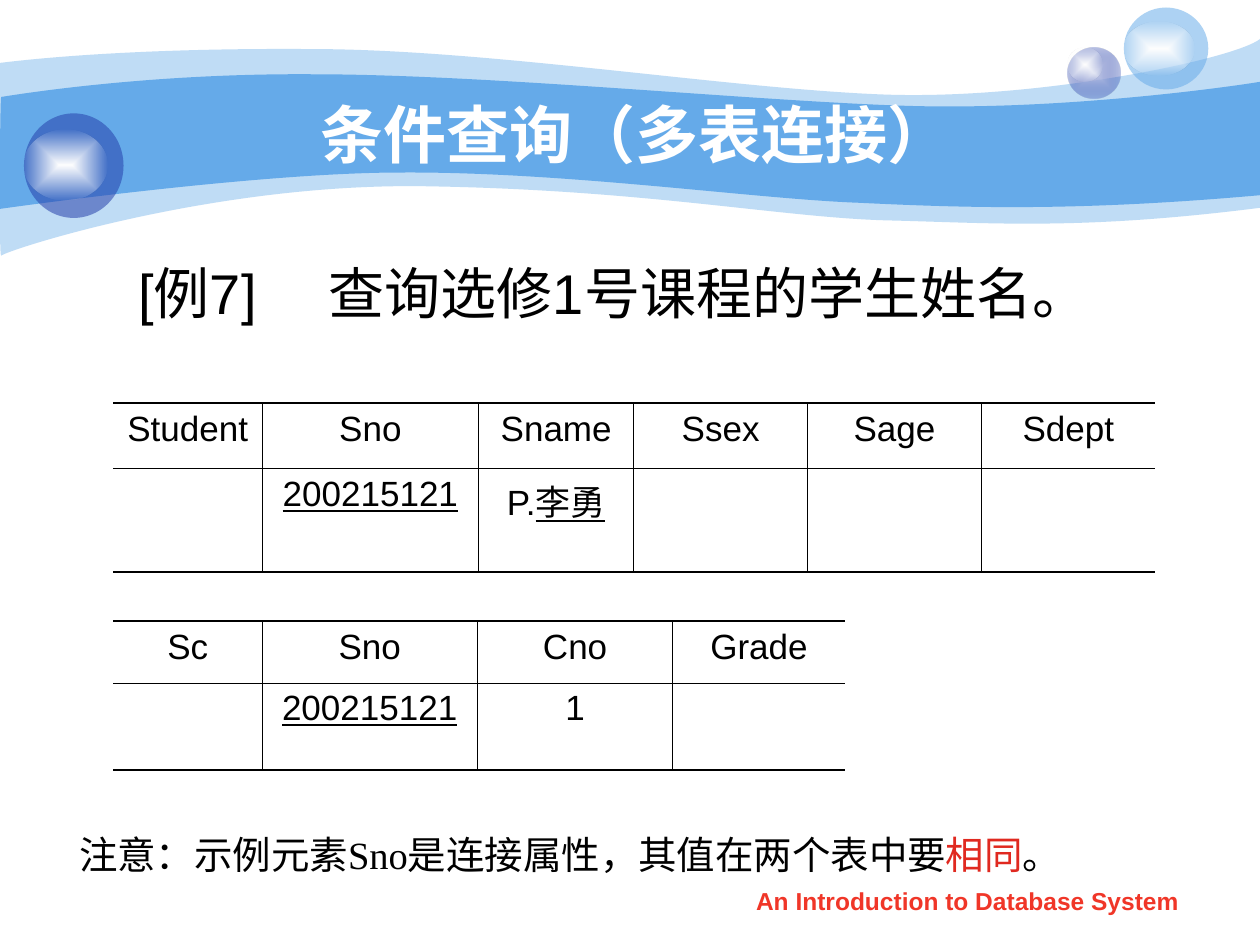
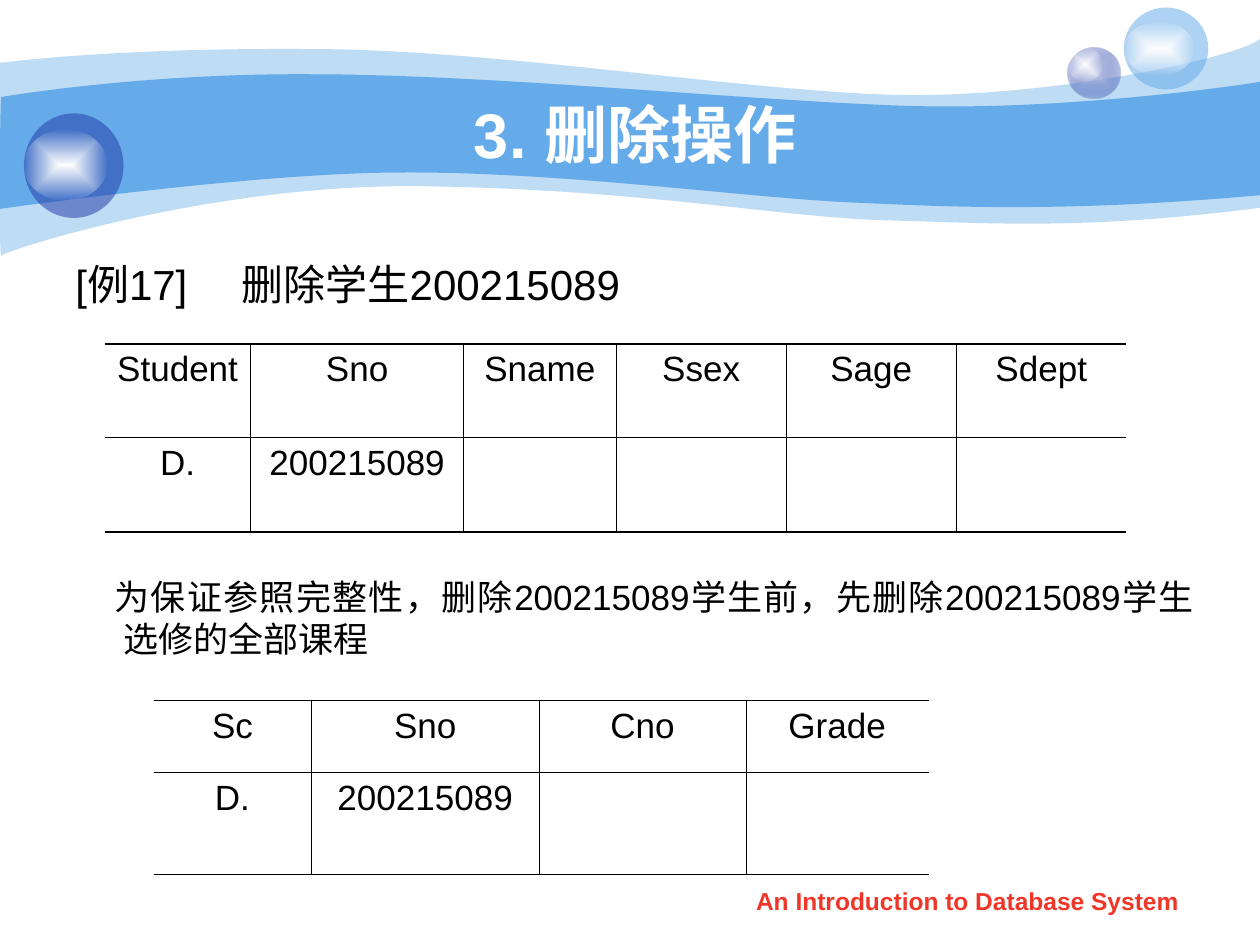
"""Build two database slides: a multi-table condition query and a delete operation."""
from dataclasses import dataclass

from lxml.etree import SubElement
from pptx import Presentation
from pptx.dml.color import RGBColor
from pptx.enum.shapes import MSO_SHAPE
from pptx.enum.text import MSO_ANCHOR, MSO_AUTO_SIZE, PP_ALIGN
from pptx.oxml import parse_xml
from pptx.oxml.ns import nsdecls, qn
from pptx.util import Inches, Pt


@dataclass(frozen=True)
class Theme:
    sky: str = "65AAE9"
    navy: str = "233DA9"
    lilac: str = "C7CEE9"
    white: str = "FFFFFF"
    ink: str = "000000"
    accent: str = "E02920"
    footer: str = "F03628"
    sans: str = "Arial"
    serif: str = "Times New Roman"
    title_size: int = 36
    lead_size: int = 32
    example_size: int = 24
    note_size: int = 22
    body_size: int = 20
    footer_size: int = 14
    thick: float = 1.08
    thin: float = 0.45


theme = Theme()


def add_span(para, text, size, color=theme.ink, face=theme.sans, bold=False, underline=False):
    span = para.add_run()
    span.text = text
    span.font.name = face
    span.font.size = Pt(size)
    span.font.bold = bold
    span.font.underline = underline
    span.font.color.rgb = RGBColor.from_string(color)


def paint(shape, stops):
    colors = [
        f'<a:srgbClr val="{color}"><a:alpha val="{alpha * 1000}"/></a:srgbClr>'
        for color, alpha in stops
    ]
    if len(colors) == 1:
        xml = f'<a:solidFill {nsdecls("a")}>{colors[0]}</a:solidFill>'
    else:
        xml = (
            f'<a:gradFill {nsdecls("a")} rotWithShape="1"><a:gsLst>'
            f'<a:gs pos="0">{colors[0]}</a:gs><a:gs pos="100000">{colors[1]}</a:gs></a:gsLst>'
            '<a:path path="rect"><a:fillToRect l="50000" t="50000" r="50000" b="50000"/></a:path>'
            '</a:gradFill>'
        )
    shape.shadow.inherit = False
    shape.line.fill.background()
    shape.fill.background()
    properties = shape._element.spPr
    properties.replace(properties.find(qn("a:noFill")), parse_xml(xml))


waves = [
    ([(theme.sky, 41)], (0, 0.5), [
        (0.24, 0.47, 1.07, 0.38, 2.47, 0.39),
        (3.86, 0.39, 5.75, 0.7, 6.99, 0.75),
        (8.22, 0.8, 9.8, 0.47, 10, 0.31),
        (10, 1.65),
        (8.58, 1.83, 7.87, 1.77, 7.05, 1.75),
        (6.22, 1.73, 5.15, 1.51, 3.43, 1.48),
        (1.72, 1.44, 0.04, 1.99, 0.01, 2.03),
        (-0.01, 2.08, 0, 0.75, 0, 0.5),
    ]),
    ([(theme.sky, 100)], (0.01, 0.77), [
        (0.02, 0.77, 1.1, 0.58, 2.48, 0.59),
        (3.86, 0.59, 5.95, 0.8, 7.18, 0.84),
        (8.41, 0.88, 9.76, 0.69, 10, 0.65),
        (10, 1.55),
        (8.53, 1.68, 7.65, 1.65, 6.82, 1.61),
        (5.99, 1.58, 4.47, 1.36, 3.17, 1.37),
        (2.03, 1.37, -0.02, 1.66, -0.01, 1.66),
        (0, 1.66, 0, 0.77, 0.01, 0.77),
    ]),
]
glow = [(theme.white, 100), (theme.white, 0)]
bubbles = [
    ((8.47, 0.38, 0.42, 0.4), [(theme.lilac, 100), (theme.navy, 31)]),
    ((8.47, 0.38, 0.28, 0.27), glow),
    ((8.92, 0.06, 0.67, 0.65), [(theme.sky, 53)]),
    ((8.92, 0.17, 0.56, 0.43), glow),
    ((0.19, 0.9, 0.79, 0.83), [(theme.navy, 53)]),
    ((0.19, 1.03, 0.66, 0.56), glow),
]

student_head = ["Student", "Sno", "Sname", "Ssex", "Sage", "Sdept"]
course_head = ["Sc", "Sno", "Cno", "Grade"]
linked = {"underline": True}
serif = {"face": theme.serif}
pages = [
    {
        "title": "条件查询（多表连接）",
        "texts": [
            {"at": (1, 2, 8.17, 0.8), "size": theme.lead_size, "tab": 1.51,
             "spans": [("[例7]\t查询选修1号课程的学生姓名。", {})]},
            {"at": (0.53, 6.47, 8.6, 0.54), "size": theme.note_size, "spacing": 1.2,
             "spans": [("注意：示例元素Sno是连接属性，其值在两个表中要", serif),
                       ("相同", {"color": theme.accent, **serif}), ("。", serif)]},
        ],
        "tables": [
            {"at": (0.9, 3.2), "columns": [1.18, 1.72, 1.23, 1.38, 1.38, 1.38],
             "heights": [0.52, 0.82], "head": student_head,
             "values": {1: [("200215121", linked)], 2: [("P.", {}), ("李勇", linked)]}},
            {"at": (0.9, 4.93), "columns": [1.18, 1.71, 1.55, 1.37],
             "heights": [0.49, 0.69], "head": course_head,
             "values": {1: [("200215121", linked)], 2: [("1", {})]}},
        ],
    },
    {
        "title": "3. 删除操作",
        "texts": [
            {"at": (0.5, 2, 9.07, 0.6), "size": theme.example_size, "tab": 1.32,
             "spans": [("[例17]\t删除学生200215089", {})]},
            {"at": (0.81, 4.52, 8.76, 0.8), "size": theme.body_size, "hanging": 0.07,
             "align": PP_ALIGN.JUSTIFY,
             "spans": [("为保证参照完整性，删除200215089学生前，"
                        "先删除200215089学生选修的全部课程", {})]},
        ],
        "tables": [
            {"at": (0.83, 2.73), "columns": [1.16, 1.69, 1.21, 1.35, 1.35, 1.35],
             "heights": [0.74, 0.75], "head": student_head,
             "values": {0: [("D.", {})], 1: [("200215089", {})]}},
            {"at": (1.22, 5.56), "columns": [1.25, 1.81, 1.64, 1.45],
             "heights": [0.57, 0.81], "head": course_head,
             "values": {0: [("D.", {})], 1: [("200215089", {})]}},
        ],
    },
]
footer = {"at": (5.71, 6.98, 3.94, 0.35), "size": theme.footer_size, "align": PP_ALIGN.CENTER,
          "spans": [("An Introduction to Database System", {"color": theme.footer, "bold": True})]}

deck = Presentation()
deck.slide_width, deck.slide_height = Inches(10), Inches(7.5)
layout = deck.slide_layouts[5]
for holder in list(layout.placeholders):
    if holder.placeholder_format.idx >= 10:
        holder._element.getparent().remove(holder._element)
slides = [deck.slides.add_slide(layout) for _ in pages]

decor = []
for stops, start, segments in waves:
    builder = slides[0].shapes.build_freeform(Inches(start[0]), Inches(start[1]))
    for segment in segments:
        pairs = zip(segment[::2], segment[1::2])
        builder.add_line_segments([(Inches(x), Inches(y)) for x, y in pairs], close=False)
    wave = builder.convert_to_shape()
    outline = next(wave._element.iter(qn("a:path")))
    lines = iter(outline.findall(qn("a:lnTo")))
    for segment in segments:
        line = next(lines)
        if len(segment) == 6:
            line.tag = qn("a:cubicBezTo")
            for other in (next(lines), next(lines)):
                line.append(other[0])
                outline.remove(other)
    SubElement(outline, qn("a:close"))
    paint(wave, stops)
    decor.append(wave)
for place, stops in bubbles:
    bubble = slides[0].shapes.add_shape(MSO_SHAPE.OVAL, *map(Inches, place))
    paint(bubble, stops)
    decor.append(bubble)
for shape in decor:
    layout.shapes._spTree.append(shape._element)

for page, content in zip(slides, pages):
    title = page.shapes.title
    title.left, title.top, title.width, title.height = map(Inches, (1, 0.75, 8.08, 0.62))
    title.text_frame.auto_size = MSO_AUTO_SIZE.NONE
    title.text_frame.vertical_anchor = MSO_ANCHOR.MIDDLE
    heading = title.text_frame.paragraphs[0]
    heading.alignment = PP_ALIGN.CENTER
    add_span(heading, content["title"], theme.title_size, theme.white, bold=True)

    for entry in content["texts"] + [footer]:
        box = page.shapes.add_textbox(*map(Inches, entry["at"]))
        box.text_frame.word_wrap = True
        para = box.text_frame.paragraphs[0]
        para.alignment = entry.get("align", PP_ALIGN.LEFT)
        para.line_spacing = entry.get("spacing", 1.0)
        settings = para._p.get_or_add_pPr()
        if "hanging" in entry:
            settings.set("marL", str(Inches(entry["hanging"])))
            settings.set("indent", str(-Inches(entry["hanging"])))
        if "tab" in entry:
            settings.append(parse_xml(
                f'<a:tabLst {nsdecls("a")}><a:tab pos="{Inches(entry["tab"])}" algn="l"/></a:tabLst>'
            ))
        for text, style in entry["spans"]:
            add_span(para, text, entry["size"], **style)

    for entry in content["tables"]:
        columns, heights = entry["columns"], entry["heights"]
        frame = page.shapes.add_table(
            len(heights), len(columns), *map(Inches, entry["at"]),
            Inches(sum(columns)), Inches(sum(heights)),
        )
        table = frame.table
        table.first_row = table.horz_banding = False
        for column, width in zip(table.columns, columns):
            column.width = Inches(width)
        head = {index: [(name, {})] for index, name in enumerate(entry["head"])}
        for row, (height, values) in enumerate(zip(heights, [head, entry["values"]])):
            table.rows[row].height = Inches(height)
            for index in range(len(columns)):
                cell = table.cell(row, index)
                cell.margin_left = cell.margin_right = Inches(0.05)
                edges = {
                    "lnL": theme.thin if index else 0,
                    "lnR": theme.thin if index < len(columns) - 1 else 0,
                    "lnT": theme.thin if row else theme.thick,
                    "lnB": theme.thick if row else theme.thin,
                }
                for edge, weight in edges.items():
                    ink = f'<a:solidFill><a:srgbClr val="{theme.ink}"/></a:solidFill>'
                    cell._tc.get_or_add_tcPr().append(parse_xml(
                        f'<a:{edge} {nsdecls("a")} w="{Pt(weight)}">'
                        f'{ink if weight else "<a:noFill/>"}</a:{edge}>'
                    ))
                cell.fill.background()
                para = cell.text_frame.paragraphs[0]
                para.alignment = PP_ALIGN.CENTER
                for text, style in values.get(index, []):
                    add_span(para, text, theme.body_size, **style)

deck.save("out.pptx")
